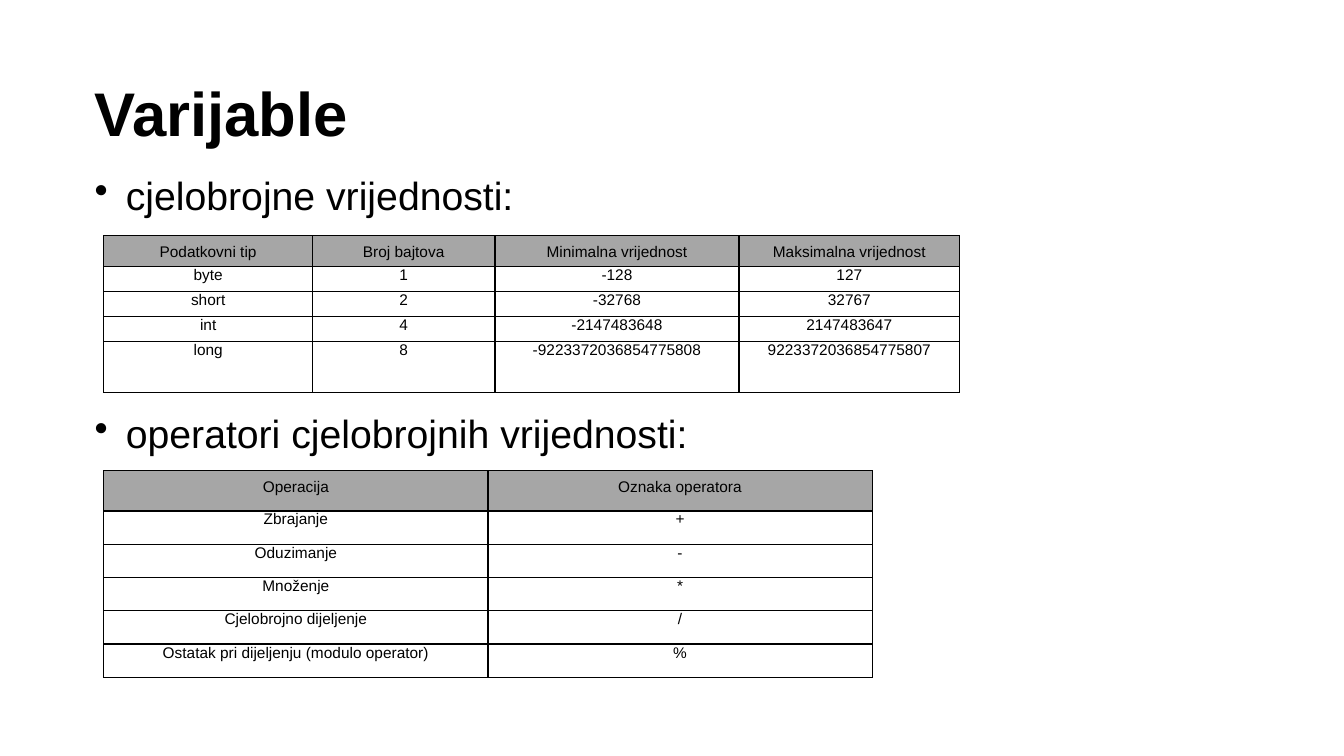
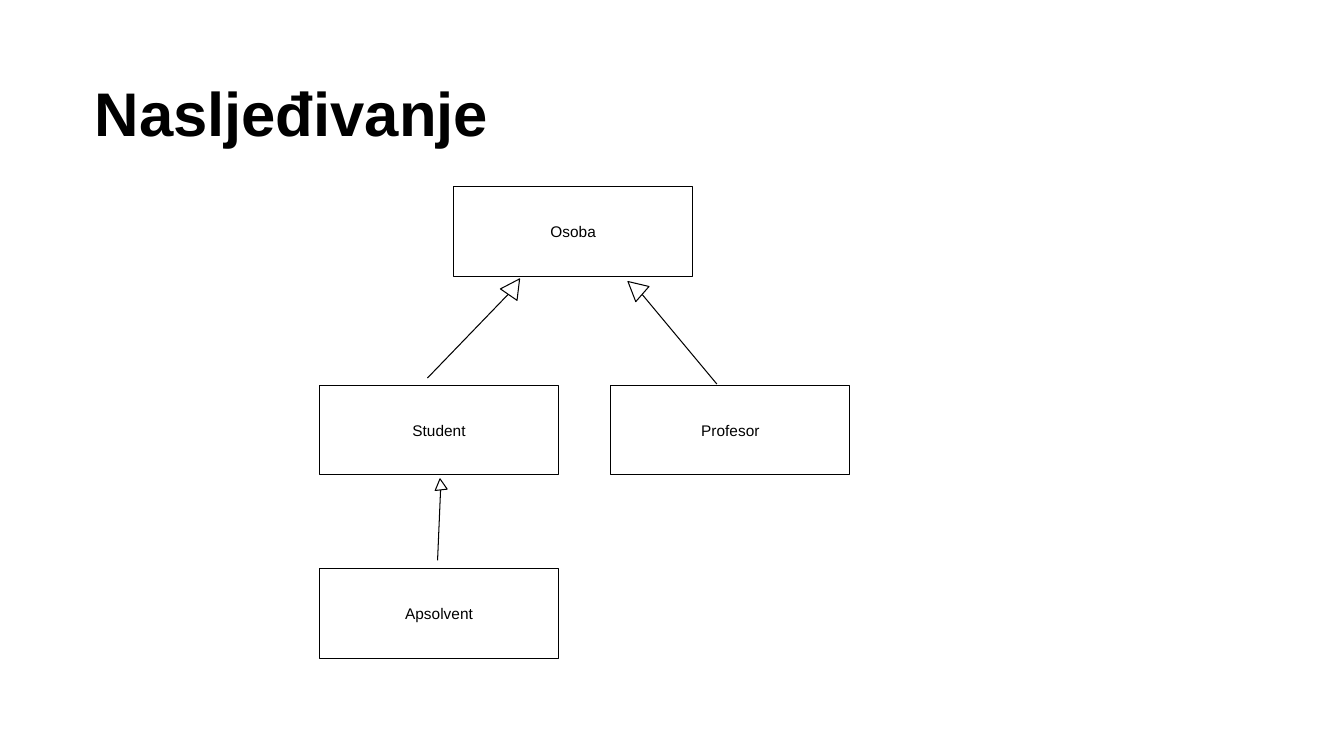
import pptx
import pptx.dml.color
import pptx.enum.shapes
import pptx.enum.text
import pptx.oxml
import pptx.oxml.ns
import pptx.util
import lxml.etree

SCALE = 9144  # EMU in one px, 100 px to the inch
FONT = "Arial"
COLORS = {"ink": "000000", "paper": "FFFFFF", "header": "A6A6A6"}
CENTER = pptx.enum.text.PP_ALIGN.CENTER
SHAPE = pptx.enum.shapes.MSO_SHAPE
BOX_WIDTH, BOX_HEIGHT = 237, 89

INTEGER_TYPES = [
    ("Podatkovni tip", "Broj bajtova", "Minimalna vrijednost", "Maksimalna vrijednost"),
    ("byte", "1", "-128", "127"),
    ("short", "2", "-32768", "32767"),
    ("int", "4", "-2147483648", "2147483647"),
    ("long", "8", "-9223372036854775808", "9223372036854775807"),
]
OPERATORS = [
    ("Operacija", "Oznaka operatora"),
    ("Zbrajanje", "+"),
    ("Oduzimanje", "-"),
    ("Množenje", "*"),
    ("Cjelobrojno dijeljenje", "/"),
    ("Ostatak pri dijeljenju (modulo operator)", "%"),
]


def px(*lengths):
    return [pptx.util.Emu(length * SCALE) for length in lengths]


def rgb(name):
    return pptx.dml.color.RGBColor.from_string(COLORS[name])


def set_font(para, size, bold=False):
    para.font.name = FONT
    para.font.size = pptx.util.Pt(size)
    para.font.bold = bold
    para.font.color.rgb = rgb("ink")


def set_line(line, width=0.75):
    line.color.rgb = rgb("ink")
    line.width = pptx.util.Pt(width)


def add_text(page, area, lines, size, bold=False):
    frame = page.shapes.add_textbox(*px(*area)).text_frame
    frame.word_wrap = True
    frame.text = "\n".join(lines)
    for para in frame.paragraphs:
        para.line_spacing = 0.9
        set_font(para, size, bold)
    return frame


def add_page(deck, title):
    page = deck.slides.add_slide(deck.slide_layouts[6])
    frame = add_text(page, (84, 62, 1000, 92), [title], 44, bold=True)
    frame.vertical_anchor = pptx.enum.text.MSO_ANCHOR.BOTTOM
    return page


def add_bullets(page, area, lines, gap):
    frame = add_text(page, area, lines, 28)
    indent = 31 * SCALE
    for para in frame.paragraphs:
        properties = para._p.get_or_add_pPr()
        properties.set("marL", str(indent))
        properties.set("indent", str(-indent))
        bullet = lxml.etree.SubElement(properties, pptx.oxml.ns.qn("a:buChar"))
        bullet.set("char", "•")
        # The bullet goes before the default run properties
        properties.find(pptx.oxml.ns.qn("a:defRPr")).addprevious(bullet)
    for para in frame.paragraphs[1:]:
        para.space_before = pptx.util.Pt(gap)


def add_borders(cell):
    properties = cell._tc.get_or_add_tcPr()
    for side in ("L", "R", "T", "B"):
        properties.append(pptx.oxml.parse_xml(
            f'<a:ln{side} {pptx.oxml.ns.nsdecls("a")} w="{pptx.util.Pt(1)}">'
            f'<a:solidFill><a:srgbClr val="{COLORS["ink"]}"/></a:solidFill></a:ln{side}>'))


def add_table(page, left, top, widths, heights, rows):
    area = px(left, top, sum(widths), sum(heights))
    table = page.shapes.add_table(len(rows), len(widths), *area).table
    table.first_row = table.horz_banding = False
    for column, width in zip(table.columns, px(*widths)):
        column.width = width
    for row, height in zip(table.rows, px(*heights)):
        row.height = height
    for row_index, texts in enumerate(rows):
        for column_index, text in enumerate(texts):
            cell = table.cell(row_index, column_index)
            cell.text = text
            cell.margin_left, cell.margin_right, cell.margin_top, cell.margin_bottom = px(7, 7, 0, 0)
            para = cell.text_frame.paragraphs[0]
            para.alignment = CENTER
            set_font(para, 11)
            add_borders(cell)
            if row_index == 0:
                para.line_spacing = pptx.util.Pt(18)
                cell.fill.solid()
                cell.fill.fore_color.rgb = rgb("header")
            else:
                cell.fill.background()


def add_outlined(page, kind, area):
    shape = page.shapes.add_shape(kind, *px(*area))
    shape.shadow.inherit = False
    shape.fill.solid()
    shape.fill.fore_color.rgb = rgb("paper")
    set_line(shape.line)
    return shape


def add_class_box(page, left, top, name):
    box = add_outlined(page, SHAPE.RECTANGLE, (left, top, BOX_WIDTH, BOX_HEIGHT))
    box.text_frame.vertical_anchor = pptx.enum.text.MSO_ANCHOR.MIDDLE
    para = box.text_frame.paragraphs[0]
    para.text = name
    para.alignment = CENTER
    set_font(para, 11)


def add_inheritance(page, start, end, head_area, rotation):
    line = page.shapes.add_connector(
        pptx.enum.shapes.MSO_CONNECTOR.STRAIGHT, *px(*start, *end))
    set_line(line.line)
    lxml.etree.SubElement(line._element.spPr, pptx.oxml.ns.qn("a:effectLst"))
    head = add_outlined(page, SHAPE.ISOSCELES_TRIANGLE, head_area)
    head.rotation = rotation


def build_variables(deck):
    page = add_page(deck, "Varijable")
    add_bullets(page, (84, 170, 849, 452),
                ["cjelobrojne vrijednosti:", "operatori cjelobrojnih vrijednosti:"], 140)
    add_table(page, 103, 234, [207, 181, 242, 219], [30, 25, 25, 25, 50], INTEGER_TYPES)
    add_table(page, 103, 467, [381] * 2, [40] + [33] * 5, OPERATORS)


def build_inheritance(deck):
    page = add_page(deck, "Nasljeđivanje")
    # Classes
    for left, top, name in [(450, 185, "Osoba"), (317, 382, "Student"),
                            (606, 382, "Profesor"), (317, 564, "Apsolvent")]:
        add_class_box(page, left, top, name)
    # Arrows from each class to its parent
    add_inheritance(page, (424, 375), (505, 291), (500, 275, 20, 19), 34.6)
    add_inheritance(page, (711, 381), (636, 291), (620, 276, 20, 19), 311.1)
    add_inheritance(page, (434, 556), (437, 486), (431, 475, 12, 11), 353.8)


def main():
    deck = pptx.Presentation()
    deck.slide_width, deck.slide_height = px(1333, 750)
    build_variables(deck)
    build_inheritance(deck)
    deck.save("out.pptx")


if __name__ == "__main__":
    main()
